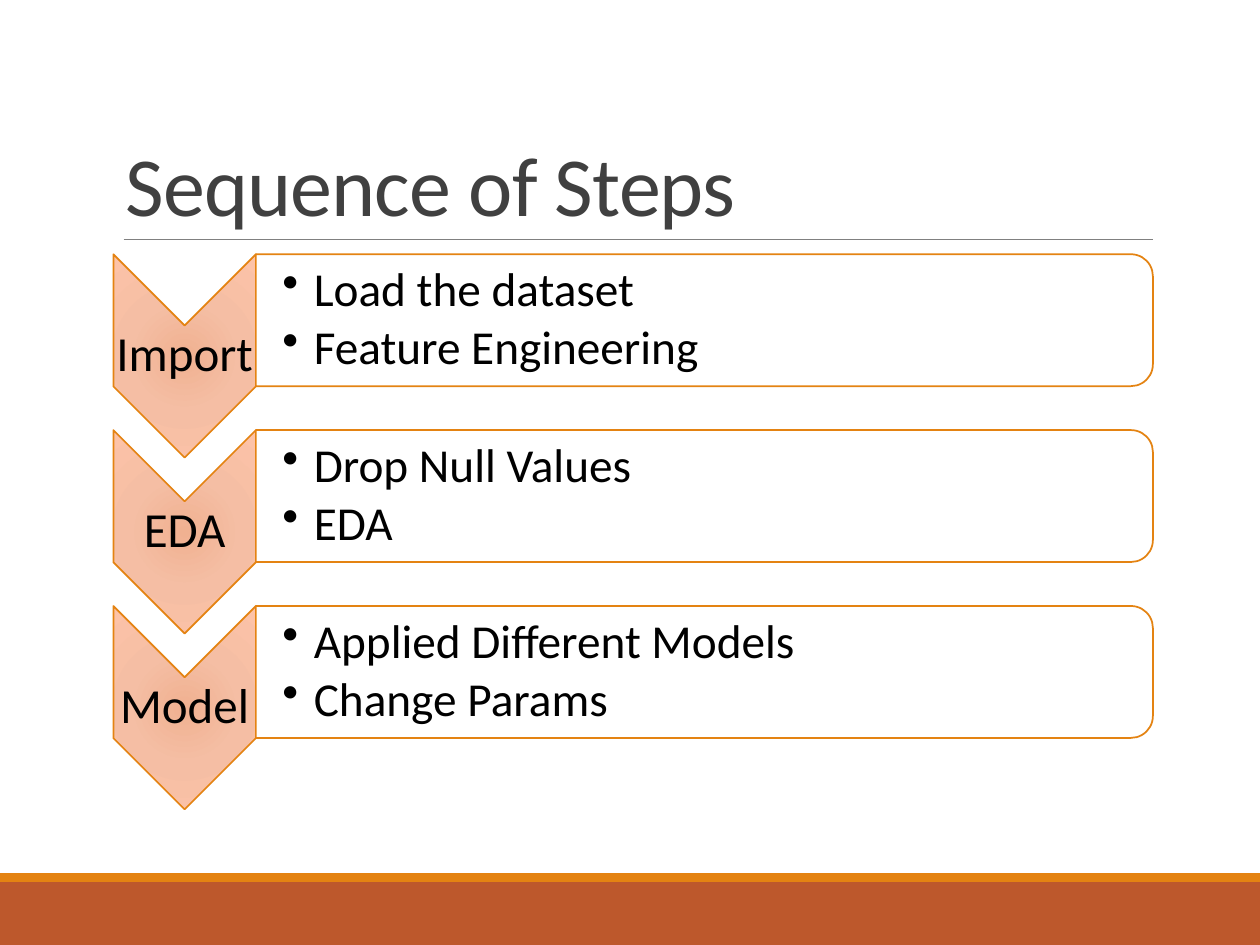
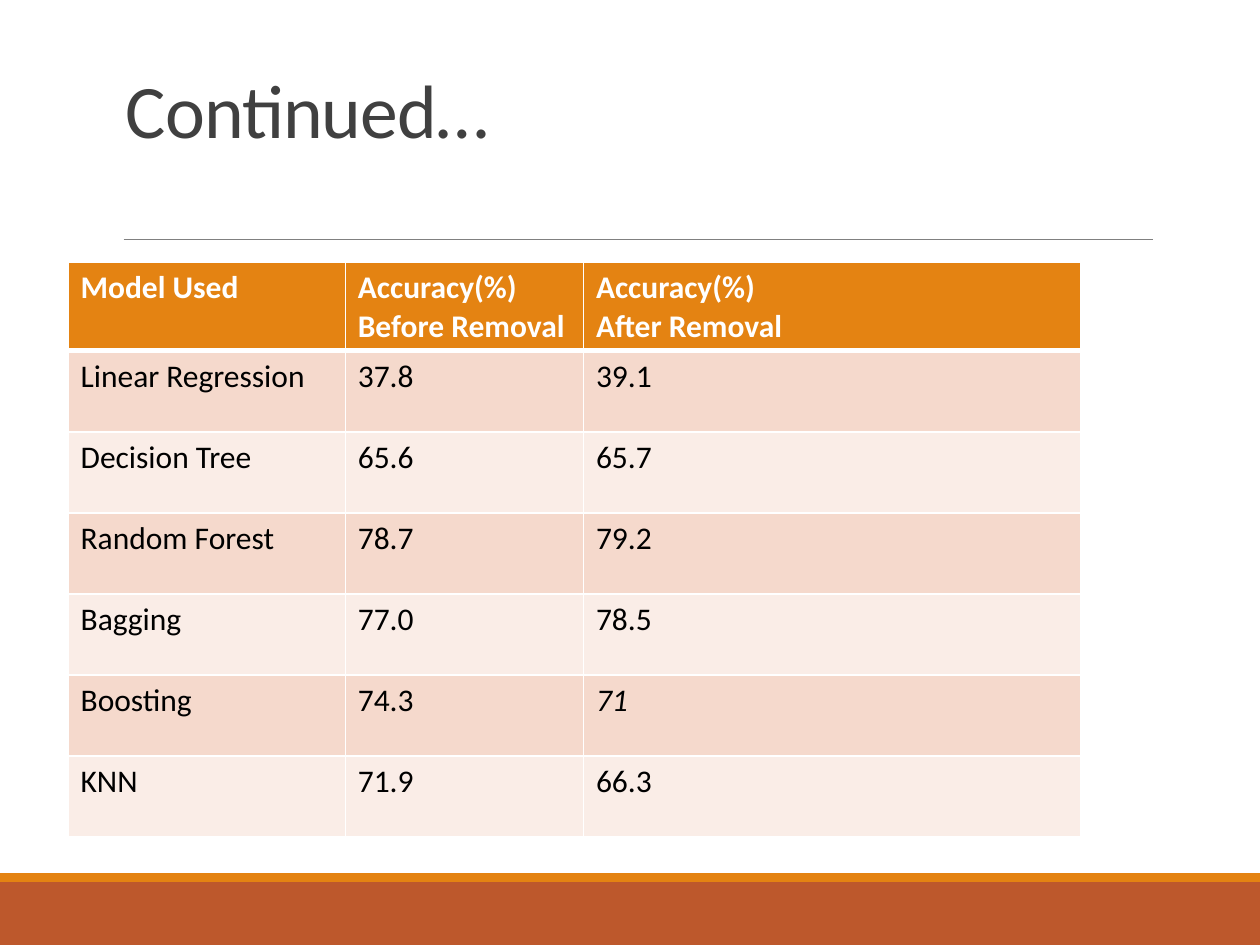
from dataclasses import dataclass

from lxml import etree
from pptx import Presentation
from pptx.dml.color import RGBColor
from pptx.enum.shapes import MSO_CONNECTOR, MSO_SHAPE
from pptx.enum.text import MSO_ANCHOR, PP_ALIGN
from pptx.oxml import parse_xml
from pptx.oxml.ns import nsdecls, qn
from pptx.util import Pt

RECT = MSO_SHAPE.RECTANGLE
CHEVRON = MSO_SHAPE.CHEVRON
ROUND_TOP = MSO_SHAPE.ROUND_2_SAME_RECTANGLE
STRAIGHT = MSO_CONNECTOR.STRAIGHT
MIDDLE, BOTTOM = MSO_ANCHOR.MIDDLE, MSO_ANCHOR.BOTTOM
LEFT, CENTER = PP_ALIGN.LEFT, PP_ALIGN.CENTER

STEPS_TITLE = "Sequence of Steps"
STEPS = [
    ("Import", ["Load the dataset", "Feature Engineering"]),
    ("EDA", ["Drop Null Values", "EDA"]),
    ("Model", ["Applied Different Models", "Change Params"]),
]
RESULTS_TITLE = "Continued…"
RESULTS = [
    ("Model Used", "Accuracy(%)\nBefore Removal", "Accuracy(%)\nAfter Removal"),
    ("Linear Regression", "37.8", "39.1"),
    ("Decision Tree", "65.6", "65.7"),
    ("Random Forest", "78.7", "79.2"),
    ("Bagging", "77.0", "78.5"),
    ("Boosting", "74.3", "71"),
    ("KNN", "71.9", "66.3"),
]
ITALIC_CELL = (5, 2)


@dataclass(frozen=True)
class Theme:
    font: str = "Calibri"
    footer: str = "BD582C"
    accent: str = "E48312"
    rule: str = "808080"
    title: str = "404040"
    text: str = "000000"
    white: str = "FFFFFF"
    bands: tuple = ("F5D9CC", "FAEDE7")
    glow: tuple = ((0, "F0B191"), (45, "F5BEA4"), (100, "FDC3A8"))
    title_size: float = 48
    small_title_size: float = 43.2
    label_size: float = 28
    bullet_size: float = 27
    table_size: float = 18


T = Theme()
WIDTH, HEIGHT = 720, 540
MARGIN, RIGHT = 64.8, 658.8
RULE_LEFT, RULE_Y = 70.6, 136.8
STRIPE_Y, FOOTER_Y = 499, 504
STEP_TOP, STEP_PITCH = 145.3, 100.5
CHEVRON_W, CHEVRON_H, BOX_H = 81.4, 116.2, 75.4
LABEL_H, BULLET_H = 34.6, 67.7
INSET, BULLET_INSET, BULLET_INDENT = 1.4, 15.1, 18
TABLE_LEFT, TABLE_TOP, ROW_H = 38.9, 150, 46.3
COLUMNS = (158.4, 136.1, 284.4)


def color(value):
    return RGBColor.from_string(value)


def box(left, top, width, height):
    return Pt(left), Pt(top), Pt(width), Pt(height)


def style(p, size, value, bold=False, italic=False):
    for r in p.runs:
        r.font.name = T.font
        r.font.size = Pt(size)
        r.font.color.rgb = color(value)
        r.font.bold = bold
        r.font.italic = italic


def add_shape(s, kind, place, fill=None, line=None):
    sp = s.shapes.add_shape(kind, *box(*place))
    sp.shadow.inherit = False
    if fill:
        sp.fill.solid()
        sp.fill.fore_color.rgb = color(fill)
    if line:
        sp.line.color.rgb = color(line)
        sp.line.width = Pt(1)
    else:
        sp.line.fill.background()
    return sp


def add_turned(s, kind, left, top, width, height, fill=None):
    x, y = left + (width - height) / 2, top + (height - width) / 2
    sp = add_shape(s, kind, (x, y, height, width), fill, T.accent)
    sp.rotation = 90
    return sp


def add_glow(sp):
    stops = "".join(
        f'<a:gs pos="{pos * 1000}"><a:srgbClr val="{value}"/></a:gs>'
        for pos, value in T.glow
    )
    grad = parse_xml(
        f'<a:gradFill {nsdecls("a")} rotWithShape="1"><a:gsLst>{stops}</a:gsLst>'
        '<a:path path="circle"><a:fillToRect l="100000" t="100000" '
        'r="100000" b="100000"/></a:path></a:gradFill>'
    )
    sp._element.spPr.find(qn("a:prstGeom")).addnext(grad)


def add_text(s, place, lines, size, value, anchor, align=LEFT, spacing=0.9, insets=None):
    tf = s.shapes.add_textbox(*box(*place)).text_frame
    tf.word_wrap = True
    tf.vertical_anchor = anchor
    if insets:
        tf.margin_left = Pt(insets[0])
        tf.margin_right = tf.margin_top = tf.margin_bottom = Pt(insets[1])
    tf.text = "\n".join(lines)
    for p in tf.paragraphs:
        p.alignment = align
        p.line_spacing = spacing
        style(p, size, value)
    return tf


def add_bullets(tf):
    for p in tf.paragraphs:
        p.space_after = Pt(4)
        pPr = p._p.get_or_add_pPr()
        pPr.set("marL", str(Pt(BULLET_INDENT)))
        pPr.set("indent", str(-Pt(BULLET_INDENT)))
        etree.SubElement(pPr, qn("a:buChar")).set("char", "•")


def add_slide(prs, title, top, height, size):
    s = prs.slides.add_slide(prs.slide_layouts[6])
    add_shape(s, RECT, (0, FOOTER_Y, WIDTH, HEIGHT - FOOTER_Y), T.footer)
    add_shape(s, RECT, (0, STRIPE_Y, WIDTH, FOOTER_Y - STRIPE_Y), T.accent)
    rule = s.shapes.add_connector(
        STRAIGHT, Pt(RULE_LEFT), Pt(RULE_Y), Pt(RIGHT), Pt(RULE_Y)
    )
    rule.line.color.rgb = color(T.rule)
    rule.line.width = Pt(0.5)
    etree.SubElement(rule._element.spPr, qn("a:effectLst"))
    place = (MARGIN, top, RIGHT - MARGIN, height)
    tf = add_text(s, place, [title], size, T.title, BOTTOM, spacing=0.85)
    tf.paragraphs[0].runs[0]._r.get_or_add_rPr().set("spc", "-50")
    return s


def add_step(s, index, label, bullets):
    top = STEP_TOP + index * STEP_PITCH
    box_left = MARGIN + CHEVRON_W
    box_w = RIGHT - box_left
    add_glow(add_turned(s, CHEVRON, MARGIN, top, CHEVRON_W, CHEVRON_H))
    label_top = top + (CHEVRON_H - LABEL_H) / 2
    add_text(s, (MARGIN, label_top, CHEVRON_W, LABEL_H), [label], T.label_size,
             T.text, MIDDLE, CENTER, insets=(INSET, INSET))
    add_turned(s, ROUND_TOP, box_left, top, box_w, BOX_H, T.white)
    bullet_top = top + (BOX_H - BULLET_H) / 2
    add_bullets(add_text(s, (box_left, bullet_top, box_w - 3.7, BULLET_H), bullets,
                         T.bullet_size, T.text, MIDDLE, insets=(BULLET_INSET, INSET)))


def add_borders(cell, row):
    tcPr = cell._tc.get_or_add_tcPr()
    heavy = {0: "B", 1: "T"}.get(row)
    for side in "LRTB":
        width = 3 if side == heavy else 1
        tcPr.append(parse_xml(
            f'<a:ln{side} {nsdecls("a")} w="{Pt(width)}"><a:solidFill>'
            f'<a:srgbClr val="{T.white}"/></a:solidFill></a:ln{side}>'
        ))


def add_results(s, rows):
    place = box(TABLE_LEFT, TABLE_TOP, sum(COLUMNS), ROW_H * len(rows))
    table = s.shapes.add_table(len(rows), len(COLUMNS), *place).table
    for column, width in zip(table.columns, COLUMNS):
        column.width = Pt(width)
    for i, values in enumerate(rows):
        table.rows[i].height = Pt(ROW_H)
        header = i == 0
        for j, value in enumerate(values):
            cell = table.cell(i, j)
            add_borders(cell, i)
            cell.fill.solid()
            cell.fill.fore_color.rgb = color(T.accent if header else T.bands[(i - 1) % 2])
            cell.text_frame.text = value
            for p in cell.text_frame.paragraphs:
                style(p, T.table_size, T.white if header else T.text,
                      header, (i, j) == ITALIC_CELL)


prs = Presentation()
prs.slide_width, prs.slide_height = Pt(WIDTH), Pt(HEIGHT)

s = add_slide(prs, STEPS_TITLE, 22.3, 114.5, T.title_size)
for index, (label, bullets) in enumerate(STEPS):
    add_step(s, index, label, bullets)

s = add_slide(prs, RESULTS_TITLE, 48.2, 43.2, T.small_title_size)
add_results(s, RESULTS)

prs.save("out.pptx")
